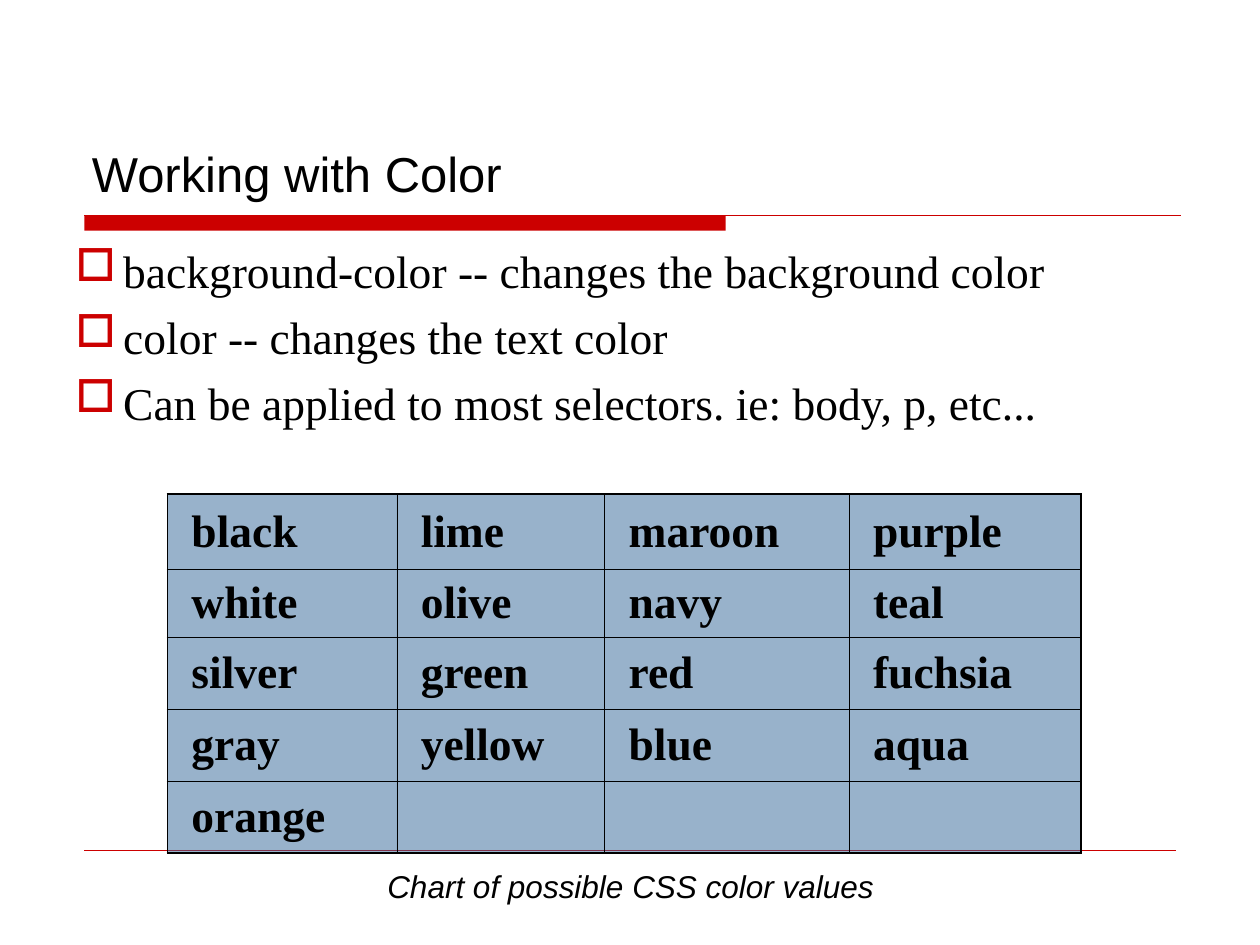
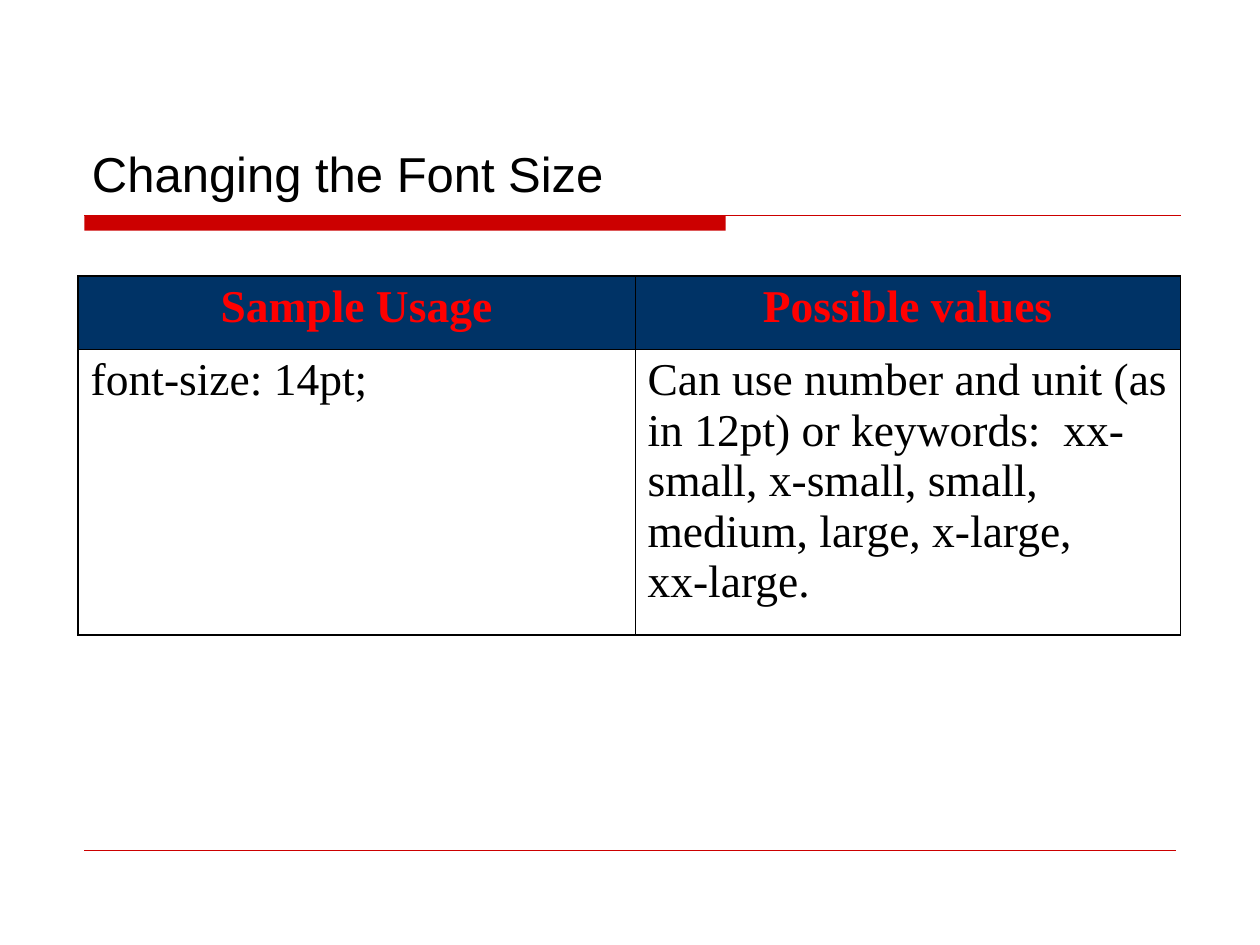
from lxml.etree import SubElement as Sub
from pptx import Presentation
from pptx.dml.color import RGBColor as RGB
from pptx.enum.shapes import MSO_CONNECTOR as Conn, MSO_SHAPE as Shape
from pptx.enum.text import MSO_ANCHOR as Anchor, PP_ALIGN as Align
from pptx.oxml.ns import qn
from pptx.util import Inches, Pt

WIDE, HIGH = 10, 7.5
LEFT, RIGHT = 0.67, 9.37
BAND, FOOT = 1.71, 6.75
SANS, SERIF = "Arial", "Times New Roman"
INK = {"text": "000000", "band": "CC0000", "steel": "336699",
       "navy": "003366", "head": "FF0000"}
NAMES = [
    ["black", "lime", "maroon", "purple"],
    ["white", "olive", "navy", "teal"],
    ["silver", "green", "red", "fuchsia"],
    ["gray", "yellow", "blue", "aqua"],
    ["orange", "", "", ""],
]
SIZES = [
    ["Sample Usage", "Possible values"],
    ["font-size: 14pt;",
     "Can use number and unit (as in 12pt) or keywords:  xx-small, "
     "x-small, small, medium, large, x-large,\vxx-large."],
]


def tone(name):
    """Return a named colour."""
    return RGB.from_string(INK[name])


def box(*sides):
    """Turn inches into lengths."""
    return [Inches(side) for side in sides]


def style(para, face, size, ink="text", bold=False, italic=False):
    """Format every run of a paragraph."""
    for run in para.runs:
        font = run.font
        font.name, font.size = face, Pt(size)
        font.bold, font.italic = bold, italic
        font.color.rgb = tone(ink)


def rule(slide, y, right, width):
    """Draw a thin line across the slide."""
    line = slide.shapes.add_connector(Conn.STRAIGHT, *box(LEFT, y, right, y))
    line.line.color.rgb = tone("band")
    line.line.width = Pt(width)
    Sub(line._element.spPr, qn("a:effectLst"))


def frame(deck, title):
    """Add a slide with its title, band and footer line."""
    slide = deck.slides.add_slide(deck.slide_layouts[5])
    band = slide.shapes.add_shape(
        Shape.RECTANGLE, *box(LEFT, BAND, 5.09, 0.12))
    band.shadow.inherit = False
    band.fill.solid()
    band.fill.fore_color.rgb = tone("band")
    band.line.fill.background()
    rule(slide, BAND, RIGHT, 0.75)
    rule(slide, FOOT, 9.33, 0.25)
    head = slide.shapes.title
    head.left, head.top, head.width, head.height = box(0.63, 0.33, 8.75, 1.33)
    head.text_frame.text = title
    head.text_frame.vertical_anchor = Anchor.BOTTOM
    para = head.text_frame.paragraphs[0]
    para.alignment = Align.LEFT
    style(para, SANS, 28)
    return slide


def bullet(para):
    """Give a paragraph a hanging square bullet."""
    props = para._p.get_or_add_pPr()
    props.set("marL", str(Inches(0.38)))
    props.set("indent", str(-Inches(0.38)))
    paint = Sub(props, qn("a:buClr"))
    Sub(paint, qn("a:srgbClr"), val=INK["band"])
    Sub(props, qn("a:buChar"), char="□")


def points(slide, items, place):
    """Add a bulleted list."""
    text = slide.shapes.add_textbox(*box(*place)).text_frame
    text.word_wrap = True
    for i, item in enumerate(items):
        para = text.paragraphs[0] if i == 0 else text.add_paragraph()
        para.text = item
        bullet(para)
        if i:
            para.space_before = Pt(6.5)
        style(para, SERIF, 26)


def note(slide, words, place):
    """Add a centred italic caption."""
    text = slide.shapes.add_textbox(*box(*place)).text_frame
    text.word_wrap = True
    text.text = words
    para = text.paragraphs[0]
    para.alignment = Align.CENTER
    style(para, SANS, 18, italic=True)


def edge(cell, outer):
    """Draw cell borders, heavier on the outer sides."""
    props = cell._tc.get_or_add_tcPr()
    for side in "LRTB":
        width = Pt(1.08 if side in outer else 0.45)
        line = Sub(props, qn("a:ln" + side), w=str(width))
        paint = Sub(line, qn("a:solidFill"))
        Sub(paint, qn("a:srgbClr"), val=INK["text"])


def shade(cell, ink, alpha=100):
    """Fill a cell with a colour, or leave it clear."""
    if not ink:
        cell.fill.background()
        return
    cell.fill.solid()
    cell.fill.fore_color.rgb = tone(ink)
    if alpha < 100:
        paint = cell._tc.tcPr.find(".//" + qn("a:solidFill") + "[last()]")
        paint = cell._tc.tcPr.findall(qn("a:solidFill"))[0]
        Sub(paint[0], qn("a:alpha"), val=str(alpha * 1000))


def grid(slide, data, spot, cols, rows, look):
    """Add a table; look formats each cell by its row."""
    size = sum(cols), sum(rows)
    table = slide.shapes.add_table(
        len(rows), len(cols), *box(*spot, *size)).table
    table.first_row = table.horz_banding = False
    for col, width in zip(table.columns, cols):
        col.width = Inches(width)
    for row, height in zip(table.rows, rows):
        row.height = Inches(height)
    for r, line in enumerate(data):
        for c, words in enumerate(line):
            cell = table.cell(r, c)
            sides = {"L": c == 0, "R": c == len(cols) - 1,
                     "T": r == 0, "B": r == len(rows) - 1}
            edge(cell, [side for side, on in sides.items() if on])
            cell.text_frame.text = words
            look(cell, r)


def swatch(cell, row):
    """Format a cell of the colour names."""
    cell.vertical_anchor = Anchor.MIDDLE
    cell.margin_left = Inches(0.19)
    shade(cell, "steel", 50)
    style(cell.text_frame.paragraphs[0], SERIF, 26, bold=True)


def usage(cell, row):
    """Format a cell of the font sizes."""
    para = cell.text_frame.paragraphs[0]
    top = row == 0
    para.alignment = Align.CENTER if top else Align.LEFT
    shade(cell, "navy" if top else None)
    style(para, SERIF, 26, "head" if top else "text", bold=top)


def main():
    """Build and save both slides."""
    deck = Presentation()
    deck.slide_width, deck.slide_height = box(WIDE, HIGH)

    slide = frame(deck, "Working with Color")
    points(slide, ["background-color -- changes the background color",
                   "color -- changes the text color",
                   "Can be applied to most selectors. ie: body, p, etc..."],
           (0.5, 1.88, 9.17, 1.7))
    grid(slide, NAMES, (1.33, 3.92), [1.82, 1.65, 1.94, 1.84],
         [0.6, 0.54] + [0.57] * 3, swatch)
    note(slide, "Chart of possible CSS color values", (2.38, 6.83, 5.25, 0.4))

    slide = frame(deck, "Changing the Font Size")
    grid(slide, SIZES, (0.62, 2.19), [4.42, 4.33], [0.58, 2.27], usage)
    deck.save("out.pptx")


if __name__ == "__main__":
    main()
